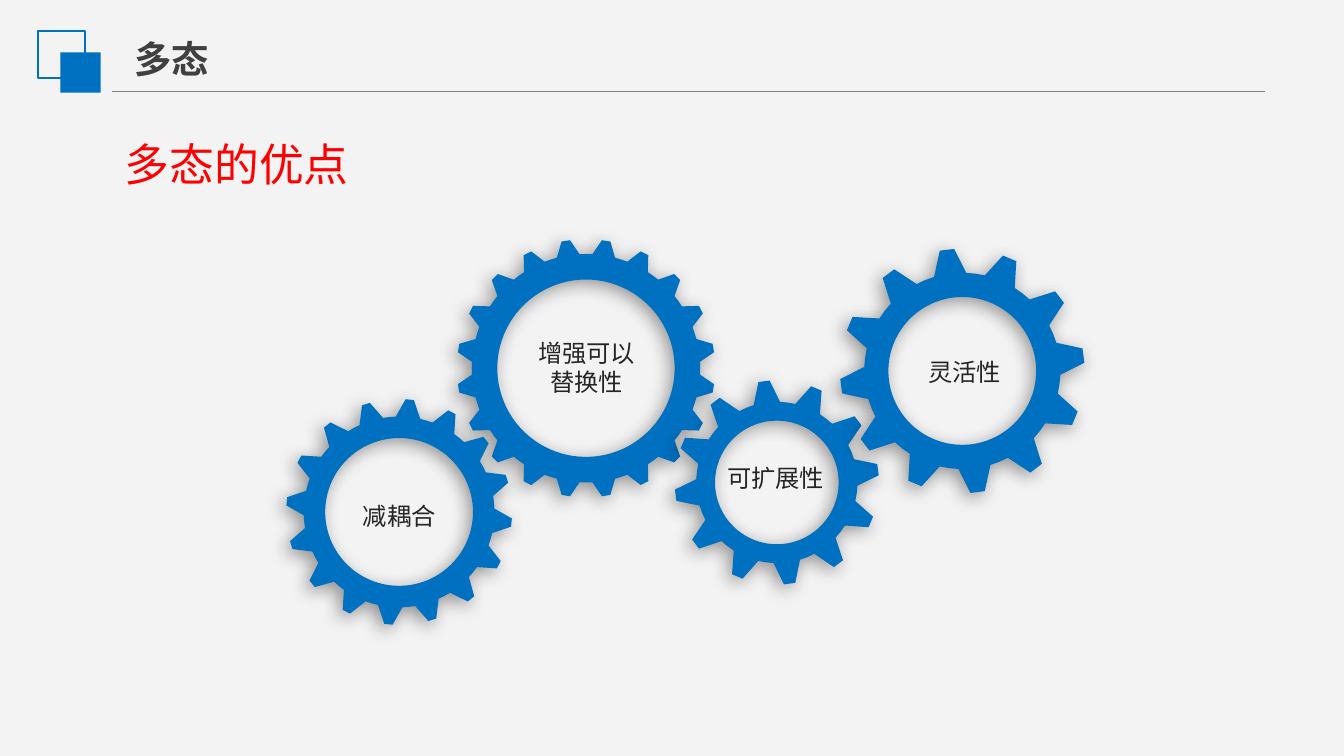
from math import cos, radians, sin
from lxml.etree import SubElement
from pptx import Presentation
from pptx.dml.color import RGBColor
from pptx.enum.shapes import MSO_CONNECTOR, MSO_SHAPE
from pptx.enum.text import MSO_ANCHOR, MSO_AUTO_SIZE, PP_ALIGN
from pptx.oxml.ns import qn
from pptx.util import Inches, Pt

BLUE = "0070C0"
CJK = "Noto Sans CJK SC"

# Content
TITLE = "多态"
HEADING = "多态的优点"
LABELS = [
    (["减耦合"], (2.51, 3.69, 0.92, 0.29)),
    (["增强可以", "替换性"], (3.71, 2.48, 1.31, 0.51)),
    (["可扩展性"], (5.31, 3.41, 0.92, 0.29)),
    (["灵活性"], (6.52, 2.62, 1.31, 0.29)),
]
# Angles are degrees clockwise from the top; base and tip are half widths
GEARS = [
    dict(center=(4.36, 2.74), hole=0.66, root=0.85, outer=0.96,
         teeth=20, first=9, base=5.8, tip=1.9),
    dict(center=(5.78, 3.59), hole=0.46, root=0.6, outer=0.76,
         teeth=12, first=-7.2, base=9.5, tip=3.2),
    dict(center=(2.97, 3.81), hole=0.55, root=0.71, outer=0.84,
         teeth=16, first=5.4, base=7.4, tip=2.1),
    dict(center=(7.16, 2.76), hole=0.55, root=0.73, outer=0.91,
         teeth=12, first=-7.2, base=9.5, tip=3.4),
]


def color(value):
    return RGBColor.from_string(value)


def place(box, bounds):
    for name, value in zip(("left", "top", "width", "height"), bounds):
        setattr(box, name, Inches(value))


def write(box, lines, size, ink, font, bold=False, align=PP_ALIGN.LEFT, **frame):
    for name, value in frame.items():
        setattr(box.text_frame, name, value)
    for index, line in enumerate(lines):
        paras = box.text_frame.paragraphs
        para = box.text_frame.add_paragraph() if index else paras[0]
        para.alignment = align
        span = para.add_run()
        span.text = line
        for name, value in dict(size=Pt(size), bold=bold, name=font).items():
            setattr(span.font, name, value)
        span.font.color.rgb = color(ink)
        if font == CJK:
            SubElement(span.font._element, qn("a:ea"), typeface=font)


def add_text(bounds, *args, **formats):
    box = page.shapes.add_textbox(*map(Inches, bounds))
    write(box, *args, word_wrap=True,
          auto_size=MSO_AUTO_SIZE.SHAPE_TO_FIT_TEXT, **formats)


def add_square(left, top, side, fill=None):
    square = page.shapes.add_shape(
        MSO_SHAPE.RECTANGLE, *map(Inches, (left, top, side, side)))
    square.shadow.inherit = False
    if fill:
        square.fill.solid()
        square.fill.fore_color.rgb = color(fill)
        square.line.fill.background()
    else:
        square.fill.background()
        square.line.color.rgb = color(BLUE)
        square.line.width = Pt(1)


def add_gear(center, hole, root, outer, teeth, first, base, tip):
    def point(radius, degrees):
        angle = radians(degrees)
        return (Inches(center[0] + radius * sin(angle)),
                Inches(center[1] - radius * cos(angle)))

    step = 360 / teeth
    profile = [(root, -step / 2), (root, -base), (outer, -tip),
               (outer, tip), (root, base)]
    rim = [point(radius, first + step * tooth + offset)
           for tooth in range(teeth) for radius, offset in profile]
    opening = [point(hole, degrees) for degrees in range(0, 360, 4)]

    builder = page.shapes.build_freeform(*opening[0])
    builder.add_line_segments(opening[1:], close=True)
    builder.move_to(*rim[0])
    builder.add_line_segments(rim[1:], close=True)
    gear = builder.convert_to_shape()
    gear.fill.solid()
    gear.fill.fore_color.rgb = color(BLUE)
    gear.line.fill.background()

    # Soft shadow toward the lower left
    effects = SubElement(gear._element.spPr, qn("a:effectLst"))
    shadow = SubElement(effects, qn("a:outerShdw"), blurRad=str(Pt(10)),
                        dist=str(Pt(3)), dir="8100000", rotWithShape="0")
    black = SubElement(shadow, qn("a:srgbClr"), val="000000")
    SubElement(black, qn("a:alpha"), val="40000")


deck = Presentation()
deck.slide_width = Inches(10)
deck.slide_height = deck.slide_width * 9 // 16
page = deck.slides.add_slide(deck.slide_layouts[5])
page.background.fill.solid()
page.background.fill.fore_color.rgb = color("F3F3F3")

# Header
rule = page.shapes.add_connector(
    MSO_CONNECTOR.STRAIGHT, *map(Inches, (0.83, 0.68, 9.41, 0.68)))
rule.line.color.rgb = color("808080")
rule.line.width = Pt(0.75)
SubElement(rule._element.spPr, qn("a:effectLst"))
add_square(0.28, 0.23, 0.35)
add_square(0.45, 0.39, 0.3, BLUE)
title = page.shapes.title
place(title, (0.9, 0.22, 0.76, 0.44))
write(title, [TITLE], 20, "404040", CJK, bold=True, word_wrap=False,
      auto_size=MSO_AUTO_SIZE.SHAPE_TO_FIT_TEXT, vertical_anchor=MSO_ANCHOR.TOP)
add_text((0.83, 0.97, 1.88, 0.5), [HEADING], 24, "FF0000", "Calibri")

# Labels and gears
for lines, bounds in LABELS:
    add_text(bounds, lines, 13, "262626", CJK, align=PP_ALIGN.CENTER,
             vertical_anchor=MSO_ANCHOR.MIDDLE,
             margin_left=Inches(0.07), margin_right=Inches(0.07),
             margin_top=Inches(0.04), margin_bottom=Inches(0.04))
for gear_format in GEARS:
    add_gear(**gear_format)

deck.save("out.pptx")
